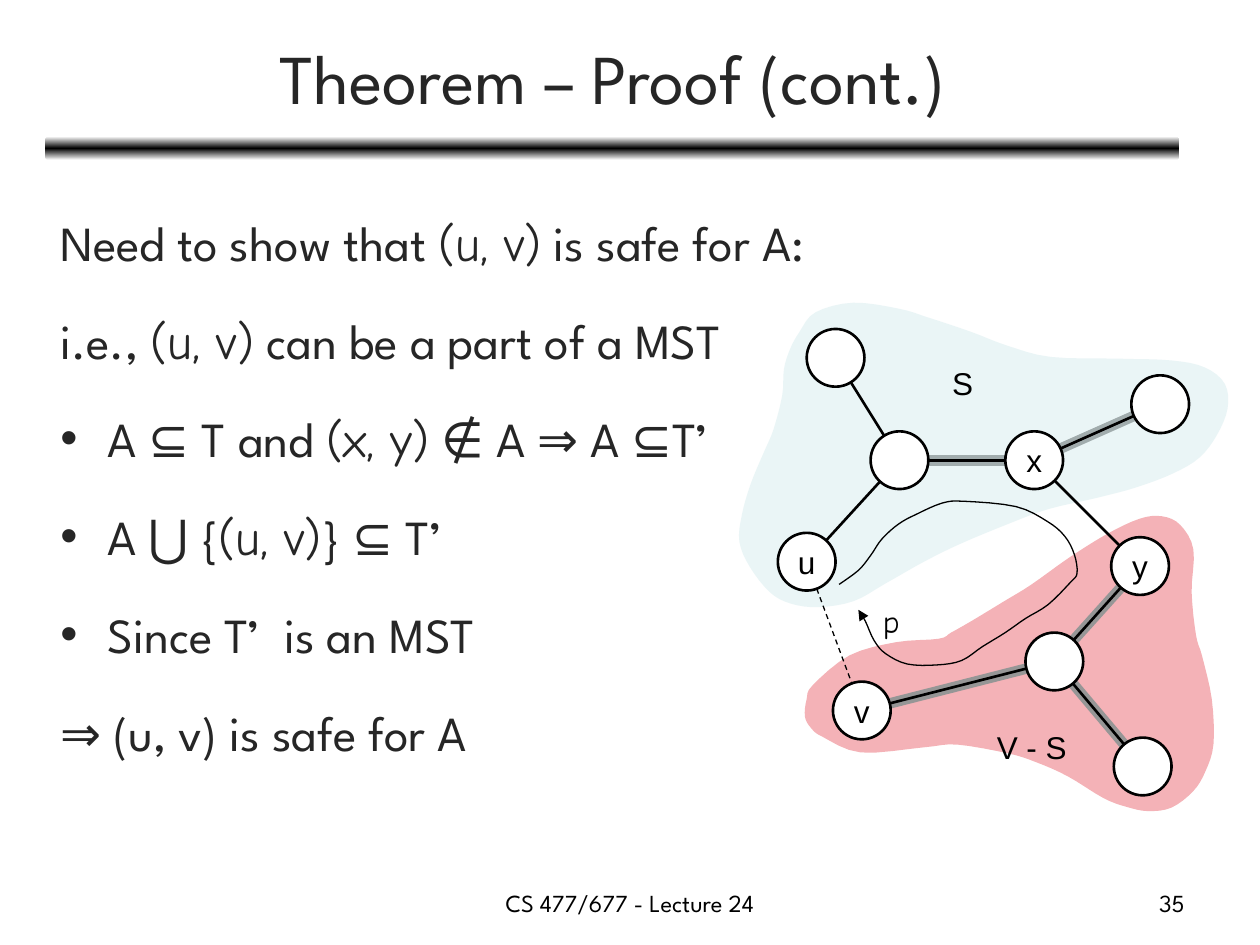
import copy
import math

import pptx
import pptx.dml.color
import pptx.enum.dml
import pptx.enum.shapes
import pptx.enum.text
import pptx.oxml
import pptx.oxml.ns
import pptx.util

Pt = pptx.util.Pt
ALIGN = pptx.enum.text.PP_ALIGN
SHAPE = pptx.enum.shapes.MSO_SHAPE
COLORS = {
    "black": "000000", "white": "FFFFFF", "text": "262626",
    "highlight": "969696", "inside": "BBE0E3", "outside": "DD0111",
}
SPARTAN, COMIC, ARIAL = "League Spartan", "Comic Neue", "Arial"
RADIUS = 16.5

BODY = [
    (False, [("Need to show that ", SPARTAN), ("(u, v)", COMIC), (" is safe for A:", SPARTAN)]),
    (False, [("i.e., ", SPARTAN), ("(u, v)", COMIC), (" can be a part of a MST", SPARTAN)]),
    (True, [("A ⊆ T and ", SPARTAN), ("(x, y)", COMIC), (" ∉ A ⇒ A ⊆T’", SPARTAN)]),
    (True, [("A ⋃ {", SPARTAN), ("(u, v)", COMIC), ("} ⊆ T’", SPARTAN)]),
    (True, [("Since T’  is an MST", SPARTAN)]),
    (False, [("⇒ (u, v) is safe for A", SPARTAN)]),
]
NODES = {
    "u": (41, 151), "left": (94, 93), "x": (171, 93), "right": (243, 61),
    "y": (231.5, 153.5), "top": (57.5, 34.5), "middle": (182.5, 208),
    "bottom": (233, 268), "v": (72.5, 236),
}
LETTERED = {"u", "v", "x", "y"}
TREE_EDGES = [("left", "x"), ("x", "right"), ("v", "middle"), ("middle", "y"), ("middle", "bottom")]
PLAIN_EDGES = [("u", "left"), ("top", "left"), ("x", "y")]
INSIDE = [
    (46, 8.5), (37, 19.5), (31.5, 29.5), (28, 41), (27, 56), (22, 75.5), (16.5, 88.5),
    (9, 106.5), (4, 124), (2.5, 139.5), (8.5, 154), (20, 168.5), (32, 175), (48, 177),
    (68, 173.5), (86, 163.5), (109, 150.5), (129.5, 140.5), (156, 129.5), (179, 121),
    (207, 114.5), (229.5, 108.5), (250.5, 100.5), (265.5, 91.5), (275.5, 78.5), (281.5, 63.5),
    (280, 49.5), (268.5, 40), (249.5, 36), (219.5, 35), (180.5, 34), (155.5, 27.5),
    (134.5, 19.5), (110.5, 11.5), (94, 6.5), (67.5, 3),
]
OUTSIDE = [
    (116.5, 195), (92, 197), (65.5, 204.5), (44.5, 221.5), (41, 229.5), (40, 239.5),
    (43.5, 246), (50, 251), (72, 260), (108.5, 257), (127, 255.5), (156, 260.5),
    (172, 265.5), (190, 273.5), (210.5, 286), (223.5, 291), (236, 293.5), (249.5, 291.5),
    (262, 282), (269, 270.5), (273.5, 255), (272.5, 229.5), (267, 205), (263.5, 193),
    (261, 168.5), (262, 144), (254.5, 130), (244, 125), (231, 126.5), (212, 135.5),
    (190.5, 149), (169.5, 164), (154, 173.5), (135, 185), (123.5, 191.5),
]
PATH = [
    (59.5, 164), (70.5, 156), (77.5, 147.5), (84, 138), (93.5, 129.5), (103.5, 124),
    (118.5, 117.5), (131, 116.5), (160.5, 119.5), (178.5, 128), (188.5, 136.5), (194, 147),
    (195.5, 157.5), (192, 162.5), (179, 175.5), (166, 183.5), (154.5, 191.5), (141.5, 199.5),
    (129.5, 207.5), (115.5, 210), (98.5, 209.5), (86, 203.5), (79.5, 196), (74.5, 185), (70.5, 178.5),
]


def rgb(name):
    return pptx.dml.color.RGBColor.from_string(COLORS[name])


def append_xml(parent, tag, **attributes):
    element = parent.makeelement(pptx.oxml.ns.qn(tag), attributes)
    parent.append(element)
    return element


def add_run(paragraph, text, font, size, color="black"):
    run = paragraph.add_run()
    run.text = text
    run.font.name, run.font.size = font, Pt(size)
    run.font.color.rgb = rgb(color)


def add_text(slide, box, text, font, size, align=ALIGN.LEFT, wrap=True):
    frame = slide.shapes.add_textbox(*map(Pt, box)).text_frame
    frame.word_wrap = wrap
    frame.paragraphs[0].alignment = align
    add_run(frame.paragraphs[0], text, font, size)


def add_header(slide, box):
    left, top, width, height = box
    bar = slide.shapes.add_shape(SHAPE.ROUNDED_RECTANGLE, *map(Pt, (left, top + 70, width, 13.5)))
    bar.shadow.inherit = False
    bar.line.fill.background()
    bar.fill.gradient()
    bar.fill.gradient_angle = 90
    stops = bar._element.spPr.find(pptx.oxml.ns.qn("a:gradFill")).gsLst
    stops.append(copy.deepcopy(stops[-1]))
    for stop, position, color in zip(bar.fill.gradient_stops, (0, 0.5, 1), ("white", "black", "white")):
        stop.position = position
        stop.color.rgb = rgb(color)

    title = slide.shapes.title
    title.left, title.top, title.width, title.height = map(Pt, (left, top, width, height))
    title.text_frame.auto_size = pptx.enum.text.MSO_AUTO_SIZE.NONE
    title.text_frame.vertical_anchor = pptx.enum.text.MSO_ANCHOR.MIDDLE
    paragraph = title.text_frame.paragraphs[0]
    paragraph.alignment = ALIGN.CENTER
    add_run(paragraph, "Theorem – Proof (cont.)", SPARTAN, 40, "text")


def add_body(slide, box):
    frame = slide.shapes.add_textbox(*map(Pt, box)).text_frame
    frame.word_wrap = True
    for index, (bulleted, runs) in enumerate(BODY):
        paragraph = frame.paragraphs[0] if index == 0 else frame.add_paragraph()
        paragraph.line_spacing = 1.5
        paragraph.space_before = Pt(5.6 if index else 0)
        properties = paragraph._p.get_or_add_pPr()
        properties.set("marL", str(Pt(27)))
        properties.set("indent", str(Pt(-27)))
        if bulleted:
            append_xml(properties, "a:buFont", typeface=ARIAL)
            append_xml(properties, "a:buChar", char="•")
        else:
            append_xml(properties, "a:buNone")
        for text, font in runs:
            add_run(paragraph, text, font, 28, "text")


def smooth(points, closed, steps=4):
    count = len(points)
    curve = [points[0]]
    for index in range(count if closed else count - 1):
        around = range(index - 1, index + 3)
        a, b, c, d = (points[i % count if closed else min(max(i, 0), count - 1)] for i in around)
        for step in range(1, steps + 1):
            t = step / steps
            curve.append(tuple(
                b[k] + 0.5 * t * (c[k] - a[k] + t * (2 * a[k] - 5 * b[k] + 4 * c[k] - d[k]
                                  + t * (3 * (b[k] - c[k]) + d[k] - a[k])))
                for k in (0, 1)))
    return curve


def add_curve(slide, origin, points, closed):
    curve = [(Pt(origin[0] + x), Pt(origin[1] + y)) for x, y in smooth(points, closed)]
    builder = slide.shapes.build_freeform(*curve[0])
    builder.add_line_segments(curve[1:], close=closed)
    shape = builder.convert_to_shape()
    shape.shadow.inherit = False
    return shape


def add_region(slide, origin, points, color):
    shape = add_curve(slide, origin, points, True)
    shape.line.fill.background()
    shape.fill.solid()
    shape.fill.fore_color.rgb = rgb(color)
    fill = shape._element.spPr.find(pptx.oxml.ns.qn("a:solidFill"))
    append_xml(fill[0], "a:alpha", val="30000")


def add_edge(slide, origin, names, color="black", width=1.5):
    (x1, y1), (x2, y2) = (NODES[name] for name in names)
    trim = RADIUS / math.hypot(x2 - x1, y2 - y1)
    dx, dy = (x2 - x1) * trim, (y2 - y1) * trim
    left, top = origin
    edge = slide.shapes.add_connector(
        pptx.enum.shapes.MSO_CONNECTOR.STRAIGHT,
        *map(Pt, (left + x1 + dx, top + y1 + dy, left + x2 - dx, top + y2 - dy)))
    edge.line.color.rgb = rgb(color)
    edge.line.width = Pt(width)
    append_xml(edge._element.spPr, "a:effectLst")
    return edge


def add_node(slide, origin, name):
    x, y = NODES[name]
    box = (origin[0] + x - RADIUS, origin[1] + y - RADIUS, 2 * RADIUS, 2 * RADIUS)
    node = slide.shapes.add_shape(SHAPE.OVAL, *map(Pt, box))
    node.shadow.inherit = False
    node.fill.solid()
    node.fill.fore_color.rgb = rgb("white")
    node.line.color.rgb = rgb("black")
    node.line.width = Pt(1.5)
    if name in LETTERED:
        node.text_frame.word_wrap = False
        node.text_frame.paragraphs[0].alignment = ALIGN.CENTER
        add_run(node.text_frame.paragraphs[0], name, ARIAL, 18)


def add_graph(slide, origin):
    left, top = origin
    add_region(slide, origin, OUTSIDE, "outside")
    for names in TREE_EDGES:
        add_edge(slide, origin, names, "highlight", 6)
    add_region(slide, origin, INSIDE, "inside")
    for name in NODES:
        add_node(slide, origin, name)
    for names in TREE_EDGES + PLAIN_EDGES:
        add_edge(slide, origin, names)
    candidate = add_edge(slide, origin, ("u", "v"), width=0.75)
    candidate.line.dash_style = pptx.enum.dml.MSO_LINE.DASH
    path = add_curve(slide, origin, PATH, False)
    path.fill.background()
    path.line.color.rgb = rgb("black")
    path.line.width = Pt(0.75)
    append_xml(path.line._get_or_add_ln(), "a:tailEnd", type="triangle")
    for text, font, x, y, width in (("S", ARIAL, 117, 34.5, 26.5), ("V - S", ARIAL, 142.5, 242.5, 54.5),
                                    ("p", COMIC, 77.5, 170.5, 24.5)):
        add_text(slide, (left + x, top + y, width, 29), text, font, 18, wrap=False)


def add_footer(slide, box):
    left, top, width, height = box
    add_text(slide, (left, top, 228, height), "CS 477/677 - Lecture 24", SPARTAN, 14, ALIGN.CENTER)
    add_text(slide, (left + width - 168, top, 168, height), "35", SPARTAN, 14, ALIGN.RIGHT)


def main():
    presentation = pptx.Presentation()
    presentation.slide_width, presentation.slide_height = Pt(720), Pt(540)
    slide = presentation.slides.add_slide(presentation.slide_layouts[5])
    add_header(slide, (26, 8, 648, 71))
    add_body(slide, (27.5, 101, 648, 421))
    add_graph(slide, (420, 170))
    add_footer(slide, (246, 504, 438, 25))
    presentation.save("out.pptx")


if __name__ == "__main__":
    main()
